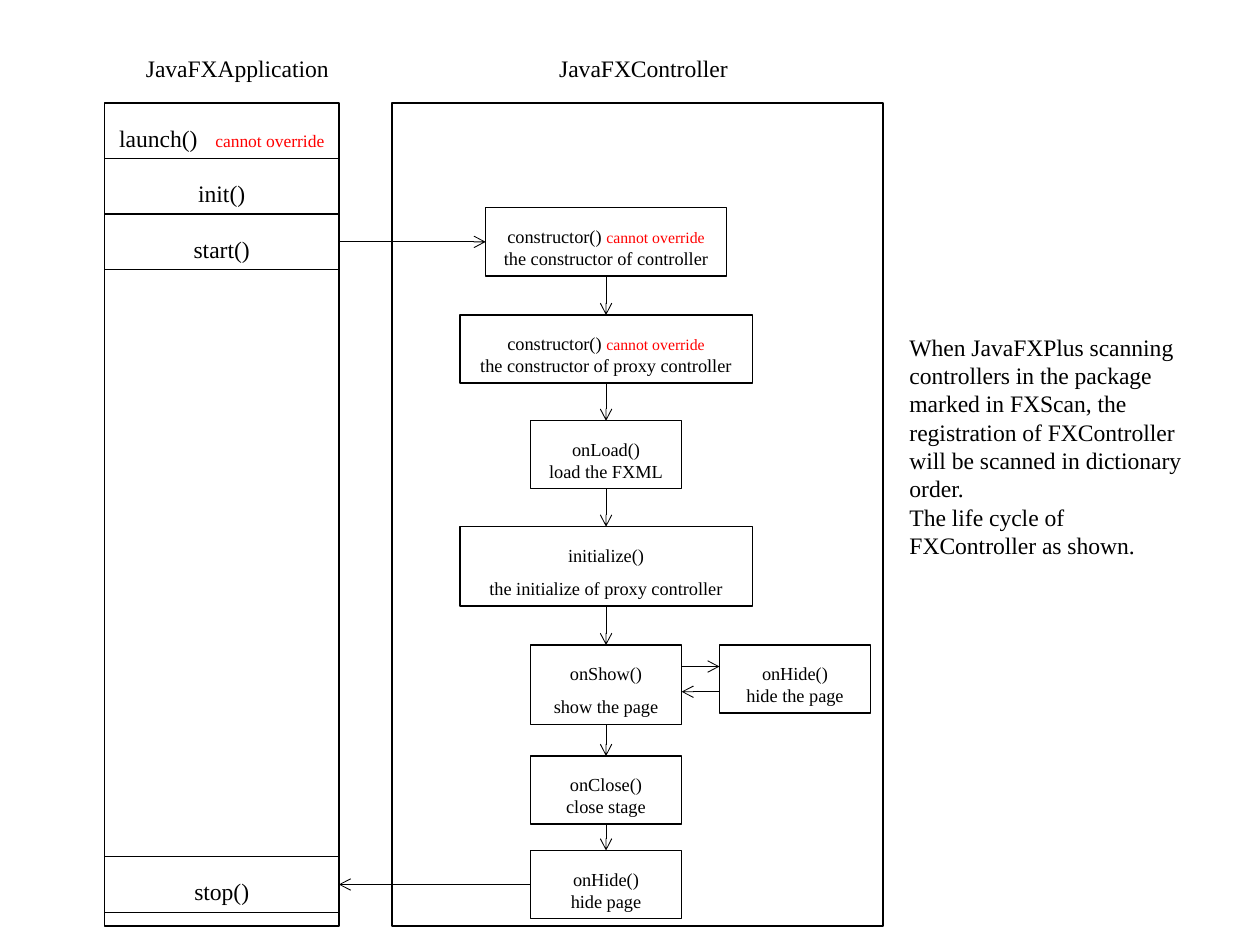
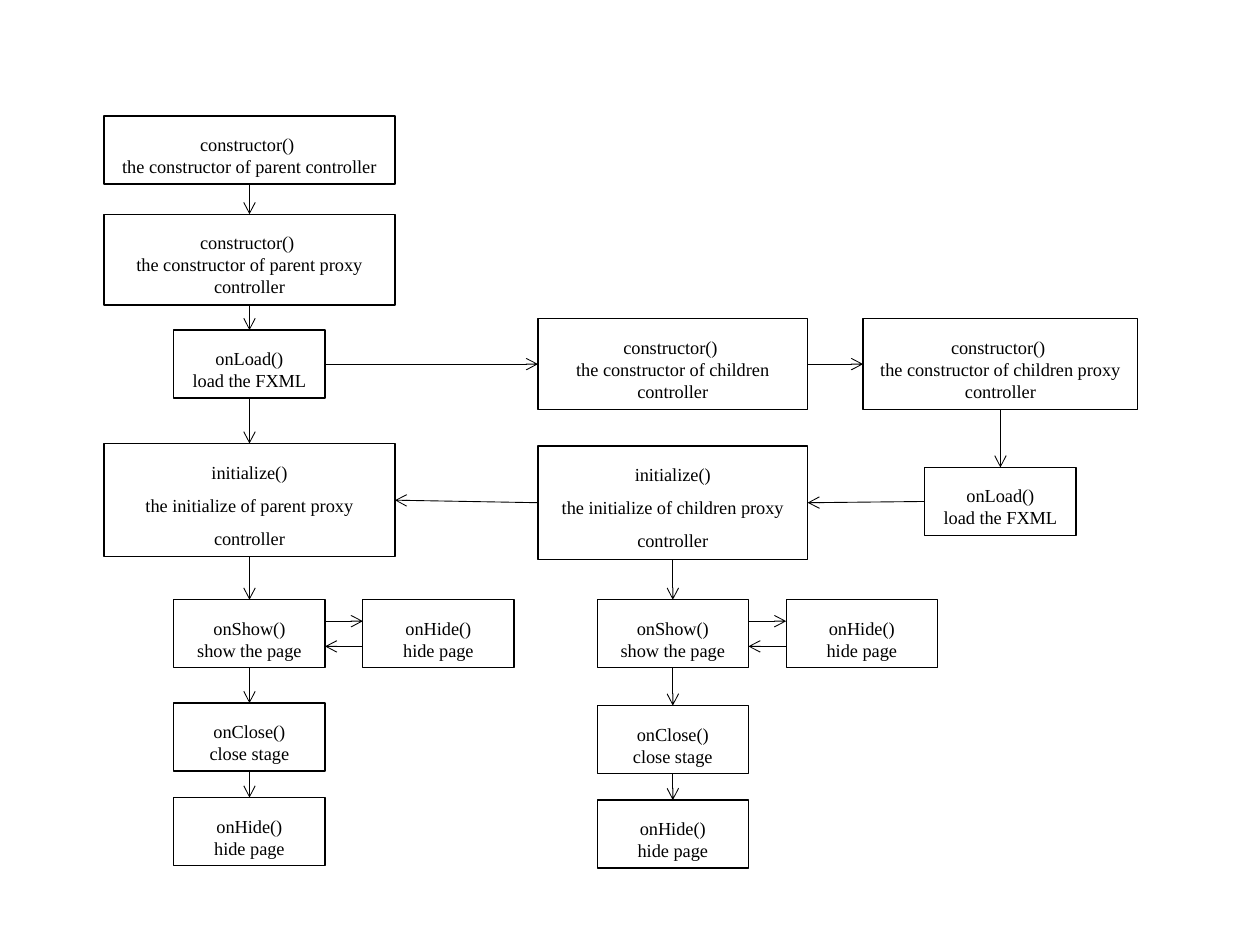
import pptx
import pptx.dml.color
import pptx.enum.shapes
import pptx.enum.text
import pptx.util
from lxml import etree
from pptx.oxml.ns import qn

Inches = pptx.util.Inches
Pt = pptx.util.Pt
PP_ALIGN = pptx.enum.text.PP_ALIGN
ANCHOR = pptx.enum.text.MSO_ANCHOR

BLACK = pptx.dml.color.RGBColor(0x00, 0x00, 0x00)
RED = pptx.dml.color.RGBColor(0xFF, 0x00, 0x00)
FONT = "Times New Roman"
HEADING_SIZE = 13.5
STEP_SIZE = 10.5
STEP_W, STEP_H = 1.2, 0.54
HIDE_OFFSET = 1.5
TOP, BOTTOM, LEFT, RIGHT = 0, 2, 1, 3
NO_OVERRIDE = "cannot override"


def add_run(p, text, size, color=BLACK):
    r = p.add_run()
    r.text = text
    r.font.name = FONT
    r.font.size = Pt(size)
    r.font.color.rgb = color
    return r


def set_up_text(sp):
    tf = sp.text_frame
    tf.word_wrap = True
    tf.auto_size = pptx.enum.text.MSO_AUTO_SIZE.SHAPE_TO_FIT_TEXT
    return tf


def add_label(slide, left, top, width, height, *lines):
    sp = slide.shapes.add_textbox(Inches(left), Inches(top), Inches(width), Inches(height))
    tf = set_up_text(sp)
    for i, line in enumerate(lines):
        p = tf.add_paragraph() if i else tf.paragraphs[0]
        add_run(p, line, HEADING_SIZE)


def add_box(slide, left, top, width, height, weight=0.75):
    """Draw an unfilled black-edged rectangle."""
    sp = slide.shapes.add_shape(pptx.enum.shapes.MSO_SHAPE.RECTANGLE, Inches(left),
                                Inches(top), Inches(width), Inches(height))
    sp.shadow.inherit = False
    sp.fill.background()
    sp.line.color.rgb = BLACK
    sp.line.width = Pt(weight)
    return sp


def first_paragraph(tf):
    p = tf.paragraphs[0]
    p.alignment = PP_ALIGN.CENTER
    p.line_spacing = 1.5
    return p


def add_method(slide, top, name, warning="", anchor=ANCHOR.TOP):
    """Add one row of the application column."""
    sp = add_box(slide, 0.83, top, 1.86, 0.44)
    tf = set_up_text(sp)
    tf.vertical_anchor = anchor
    p = first_paragraph(tf)
    add_run(p, name, HEADING_SIZE)
    if warning:
        gap = add_run(p, " ", HEADING_SIZE)
        gap.font._rPr.set("spc", "680")
        add_run(p, warning, 10, RED)
    return sp


def add_step(slide, center, top, call, note, width=STEP_W, height=STEP_H,
             warning="", note_spacing=None):
    """Add a life cycle step: the call above, what it does below."""
    sp = add_box(slide, center - width / 2, top, width, height)
    tf = set_up_text(sp)
    tf.vertical_anchor = ANCHOR.TOP
    p = first_paragraph(tf)
    add_run(p, call, STEP_SIZE)
    if warning:
        add_run(p, warning, 9, RED)
    p = tf.add_paragraph()
    p.alignment = PP_ALIGN.CENTER
    p.line_spacing = note_spacing
    add_run(p, note, STEP_SIZE)
    return sp


def add_arrow(slide, x1=0, y1=0, x2=0, y2=0):
    cxn = slide.shapes.add_connector(pptx.enum.shapes.MSO_CONNECTOR.STRAIGHT,
                                     Inches(x1), Inches(y1), Inches(x2), Inches(y2))
    cxn.line.color.rgb = BLACK
    cxn.line.width = Pt(0.5)
    etree.SubElement(cxn.line._get_or_add_ln(), qn("a:tailEnd"), type="arrow")
    etree.SubElement(cxn._element.spPr, qn("a:effectLst"))
    return cxn


def join(slide, source, source_side, target, target_side):
    cxn = add_arrow(slide)
    cxn.begin_connect(source, source_side)
    cxn.end_connect(target, target_side)


def chain_down(slide, steps):
    for upper, lower in zip(steps, steps[1:]):
        join(slide, upper, BOTTOM, lower, TOP)


def add_page_steps(slide, center, show_top, close_top, hide_note="hide page",
                   show_height=STEP_H, show_spacing=None):
    """Add onShow (paired with onHide beside it), onClose and the final onHide."""
    show = add_step(slide, center, show_top, "onShow()", "show the page",
                    height=show_height, note_spacing=show_spacing)
    add_step(slide, center + HIDE_OFFSET, show_top, "onHide()", hide_note)
    near = center + STEP_W / 2
    far = near + HIDE_OFFSET - STEP_W
    add_arrow(slide, near, show_top + 0.17, far, show_top + 0.17)
    add_arrow(slide, far, show_top + 0.37, near, show_top + 0.37)
    close = add_step(slide, center, close_top, "onClose()", "close stage")
    hide = add_step(slide, center, close_top + 0.75, "onHide()", "hide page")
    return [show, close, hide]


def build_controller_life_cycle(slide):
    add_label(slide, 1.06, 0.38, 1.93, 0.33, "JavaFXApplication")
    add_label(slide, 4.34, 0.38, 1.64, 0.33, "JavaFXController")
    add_label(slide, 7.12, 2.59, 2.37, 1.92,
              "When JavaFXPlus scanning controllers in the package marked in FXScan, "
              "the registration of FXController will be scanned in dictionary order.",
              "The life cycle of FXController as shown.")
    for left, width in ((0.83, 1.86), (3.11, 3.9)):
        add_box(slide, left, 0.82, width, 6.53, weight=1)

    add_method(slide, 0.82, "launch()", NO_OVERRIDE)
    add_method(slide, 1.26, "init()", anchor=ANCHOR.MIDDLE)
    start = add_method(slide, 1.7, "start()")
    stop = add_method(slide, 6.8, "stop()")

    center = 4.81
    steps = [
        add_step(slide, center, 1.65, "constructor() ", "the constructor of controller",
                 1.91, warning=NO_OVERRIDE),
        add_step(slide, center, 2.5, "constructor() ", "the constructor of proxy controller",
                 2.32, warning=NO_OVERRIDE),
        add_step(slide, center, 3.34, "onLoad()", "load the FXML"),
        add_step(slide, center, 4.18, "initialize()", "the initialize of proxy controller",
                 2.32, 0.63, note_spacing=1.5),
    ]
    steps += add_page_steps(slide, center, 5.12, 6, "hide the page", 0.63, 1.5)
    chain_down(slide, steps)
    join(slide, start, RIGHT, steps[0], LEFT)
    join(slide, steps[-1], LEFT, stop, RIGHT)


def build_parent_and_children(slide):
    parent, children, proxy = 1.98, 5.34, 7.94

    parent_load = add_step(slide, parent, 2.62, "onLoad()", "load the FXML")
    parent_init = add_step(slide, parent, 3.52, "initialize()",
                           "the initialize of parent proxy controller",
                           2.31, 0.9, note_spacing=1.5)
    parent_steps = [
        add_step(slide, parent, 0.92, "constructor() ",
                 "the constructor of parent controller", 2.31),
        add_step(slide, parent, 1.7, "constructor() ",
                 "the constructor of parent proxy controller", 2.31, 0.72),
        parent_load,
        parent_init,
    ]
    chain_down(slide, parent_steps + add_page_steps(slide, parent, 4.76, 5.58))

    child_new = add_step(slide, children, 2.53, "constructor() ",
                         "the constructor of children controller", 2.14, 0.72)
    proxy_new = add_step(slide, proxy, 2.53, "constructor() ",
                         "the constructor of children proxy controller", 2.18, 0.72)
    child_load = add_step(slide, proxy, 3.71, "onLoad()", "load the FXML")
    child_init = add_step(slide, children, 3.54, "initialize()",
                          "the initialize of children proxy controller",
                          2.14, 0.9, note_spacing=1.5)
    chain_down(slide, [proxy_new, child_load])
    chain_down(slide, [child_init] + add_page_steps(slide, children, 4.76, 5.6))

    join(slide, parent_load, RIGHT, child_new, LEFT)
    join(slide, child_new, RIGHT, proxy_new, LEFT)
    join(slide, child_load, LEFT, child_init, RIGHT)
    join(slide, child_init, LEFT, parent_init, RIGHT)


def main():
    prs = pptx.Presentation()
    prs.slide_width = Inches(10)
    prs.slide_height = Inches(7.5)
    blank = prs.slide_layouts[6]
    for build in (build_controller_life_cycle, build_parent_and_children):
        build(prs.slides.add_slide(blank))
    prs.save("out.pptx")


if __name__ == "__main__":
    main()
